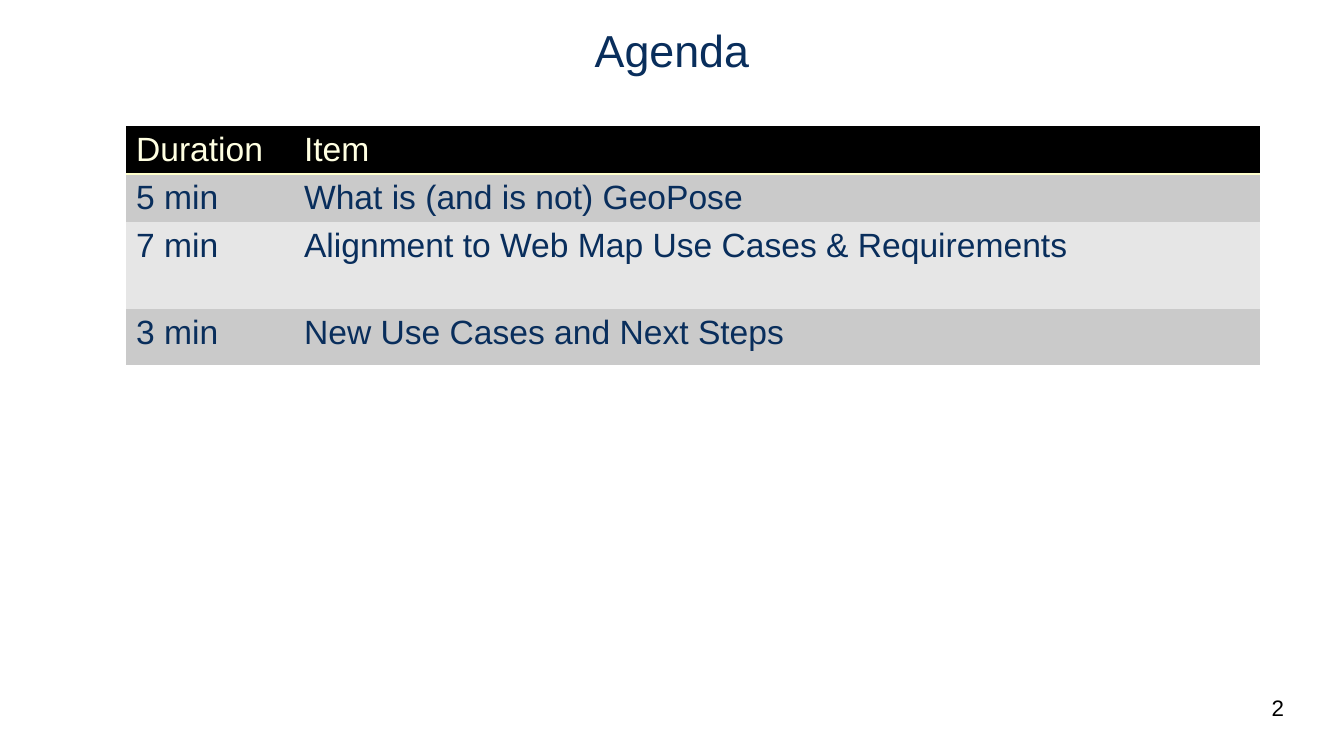
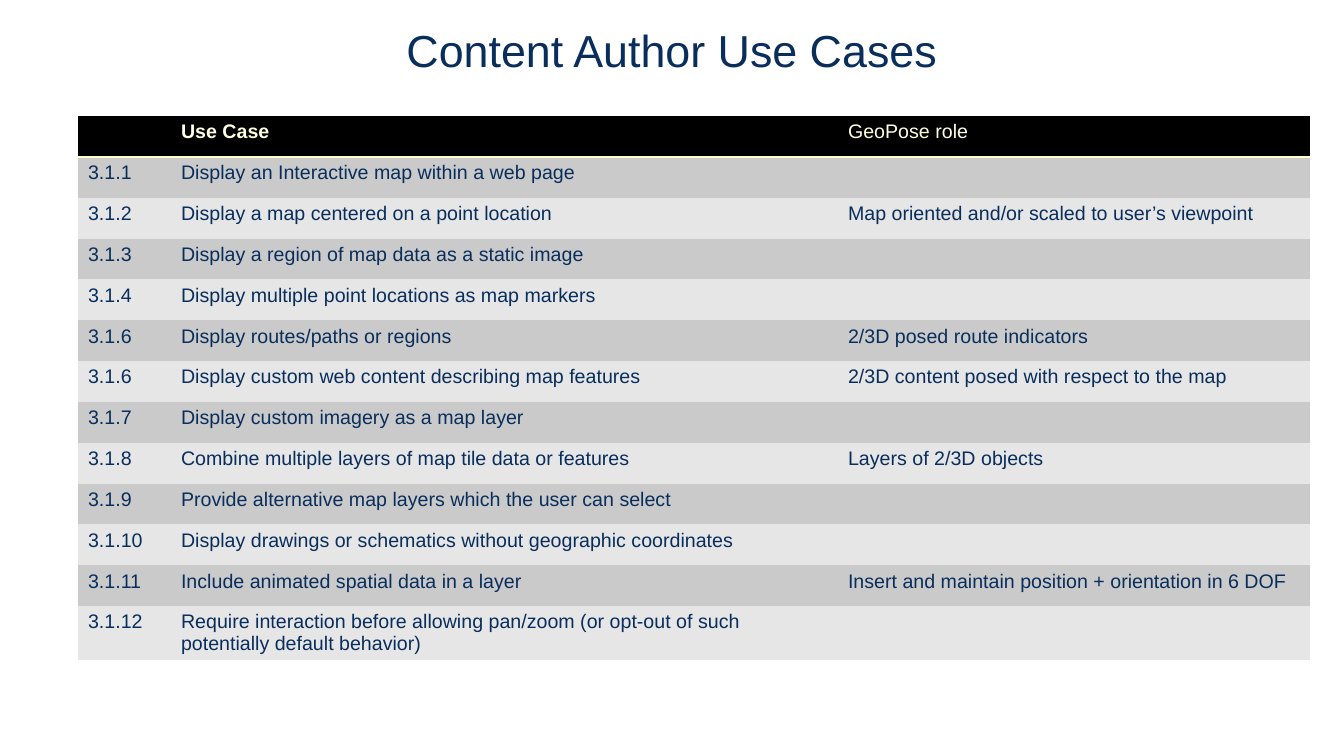
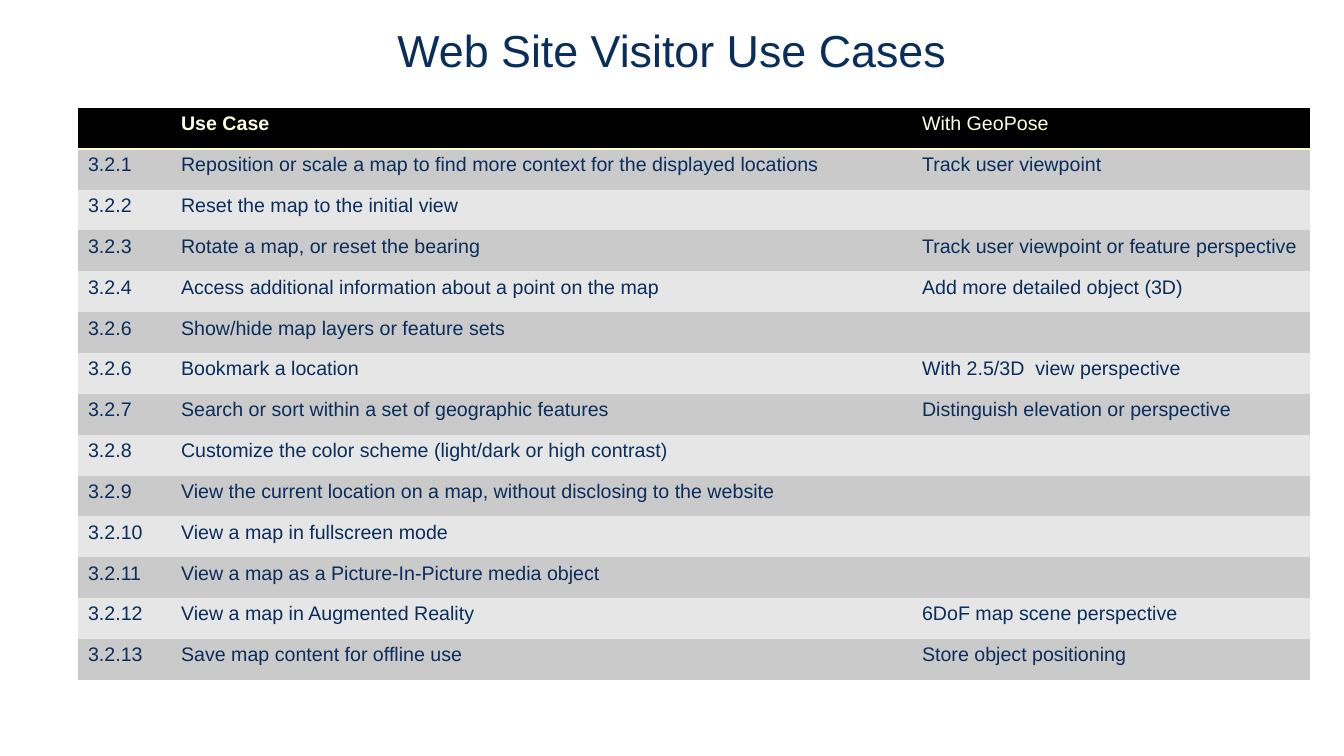
"""Build three slides of tables about GeoPose and web map use cases."""
from lxml.etree import SubElement
from pptx import Presentation
from pptx.dml.color import RGBColor
from pptx.enum.text import MSO_ANCHOR, PP_ALIGN
from pptx.oxml.ns import qn
from pptx.util import Emu, Pt

SCALE = 914400 / 100.8
FONT = "Arial"
COLORS = {
    "navy": "092E5C",
    "black": "000000",
    "header_text": "FFFFE2",
    "header_rule": "FFFFCC",
    "dark_band": "CACACA",
    "light_band": "E6E6E6",
}
PLAIN_TABLE_STYLE = "{2D5ABB26-0587-4C30-8999-92F81FD0307C}"

AGENDA = [
    ("Duration", "Item"),
    ("5 min", "What is (and is not) GeoPose"),
    ("7 min", "Alignment to Web Map Use Cases & Requirements"),
    ("3 min", "New Use Cases and Next Steps"),
]
AUTHOR_CASES = [
    ("", "Use Case", "GeoPose role"),
    ("3.1.1", "Display an Interactive map within a web page", ""),
    ("3.1.2", "Display a map centered on a point location",
     "Map oriented and/or scaled to user’s viewpoint"),
    ("3.1.3", "Display a region of map data as a static image", ""),
    ("3.1.4", "Display multiple point locations as map markers", ""),
    ("3.1.6", "Display routes/paths or regions", "2/3D posed route indicators"),
    ("3.1.6", "Display custom web content describing map features",
     "2/3D content posed with respect to the map"),
    ("3.1.7", "Display custom imagery as a map layer", ""),
    ("3.1.8", "Combine multiple layers of map tile data or features",
     "Layers of 2/3D objects"),
    ("3.1.9", "Provide alternative map layers which the user can select", ""),
    ("3.1.10", "Display drawings or schematics without geographic coordinates", ""),
    ("3.1.11", "Include animated spatial data in a layer",
     "Insert and maintain position + orientation in 6 DOF"),
    ("3.1.12", "Require interaction before allowing pan/zoom "
     "(or opt-out of such potentially default behavior)", ""),
]
VISITOR_CASES = [
    ("", "Use Case", "With GeoPose"),
    ("3.2.1", "Reposition or scale a map to find more context for the displayed locations",
     "Track user viewpoint"),
    ("3.2.2", "Reset the map to the initial view", ""),
    ("3.2.3", "Rotate a map, or reset the bearing",
     "Track user viewpoint or feature perspective"),
    ("3.2.4", "Access additional information about a point on the map",
     "Add more detailed object (3D)"),
    ("3.2.6", "Show/hide map layers or feature sets", ""),
    ("3.2.6", "Bookmark a location", "With 2.5/3D  view perspective"),
    ("3.2.7", "Search or sort within a set of geographic features",
     "Distinguish elevation or perspective"),
    ("3.2.8", "Customize the color scheme (light/dark or high contrast)", ""),
    ("3.2.9", "View the current location on a map, without disclosing to the website", ""),
    ("3.2.10", "View a map in fullscreen mode", ""),
    ("3.2.11", "View a map as a Picture-In-Picture media object", ""),
    ("3.2.12", "View a map in Augmented Reality", "6DoF map scene perspective"),
    ("3.2.13", "Save map content for offline use", "Store object positioning"),
]


def px(length):
    return Emu(round(length * SCALE))


def style_font(font, size, color, bold=False):
    font.size = Pt(size)
    font.name = FONT
    font.bold = bold
    font.color.rgb = RGBColor.from_string(COLORS[color])


def add_text(slide, box, text, size, color, align):
    frame = slide.shapes.add_textbox(*map(px, box)).text_frame
    frame.word_wrap = True
    paragraph = frame.paragraphs[0]
    paragraph.text = text
    paragraph.alignment = align
    style_font(paragraph.font, size, color)
    return frame


def add_titled_slide(presentation, title):
    slide = presentation.slides.add_slide(presentation.slide_layouts[6])
    frame = add_text(slide, (34, 15, 1276, 76), title, 32, "navy", PP_ALIGN.CENTER)
    frame.vertical_anchor = MSO_ANCHOR.MIDDLE
    frame.paragraphs[0].line_spacing = 0.9
    return slide


def add_bottom_rule(cell, color, width):
    line = SubElement(cell._tc.get_or_add_tcPr(), qn("a:lnB"), w=str(Pt(width)))
    fill = SubElement(line, qn("a:solidFill"))
    SubElement(fill, qn("a:srgbClr"), val=COLORS[color])


def fill_cell(cell, text, size, row_index):
    is_header = row_index == 0
    if is_header:
        add_bottom_rule(cell, "header_rule", 2)
        band = "black"
    else:
        band = "dark_band" if row_index % 2 else "light_band"
    cell.fill.solid()
    cell.fill.fore_color.rgb = RGBColor.from_string(COLORS[band])
    cell.margin_bottom = px(2)
    paragraph = cell.text_frame.paragraphs[0]
    paragraph.text = text
    style_font(paragraph.font, size, "header_text" if is_header else "navy",
               bold=text == "Use Case")


def add_banded_table(slide, left, top, height, column_widths, rows, size):
    table = slide.shapes.add_table(
        len(rows), len(column_widths), px(left), px(top),
        px(sum(column_widths)), px(height)).table
    table._tbl.tblPr.find(qn("a:tableStyleId")).text = PLAIN_TABLE_STYLE
    for column, width in zip(table.columns, column_widths):
        column.width = px(width)
    for row_index, texts in enumerate(rows):
        for column_index, text in enumerate(texts):
            fill_cell(table.cell(row_index, column_index), text, size, row_index)
    return table


def main():
    presentation = Presentation()
    presentation.slide_width = px(1344)
    presentation.slide_height = px(756)

    agenda = add_titled_slide(presentation, "Agenda")
    table = add_banded_table(agenda, 126, 126, 239, (168, 966), AGENDA, 24)
    for row, height in zip(table.rows, (48, 48, 87, 56)):
        row.height = px(height)
    add_text(agenda, (1084, 689, 210, 25), "2", 16, "black", PP_ALIGN.RIGHT)

    author = add_titled_slide(presentation, "Content Author Use Cases")
    add_banded_table(author, 78, 116, 531, (93, 667, 472), AUTHOR_CASES, 14)

    visitor = add_titled_slide(presentation, "Web Site Visitor Use Cases")
    add_banded_table(visitor, 78, 108, 572, (93, 741, 398), VISITOR_CASES, 14)

    presentation.save("out.pptx")


main()
